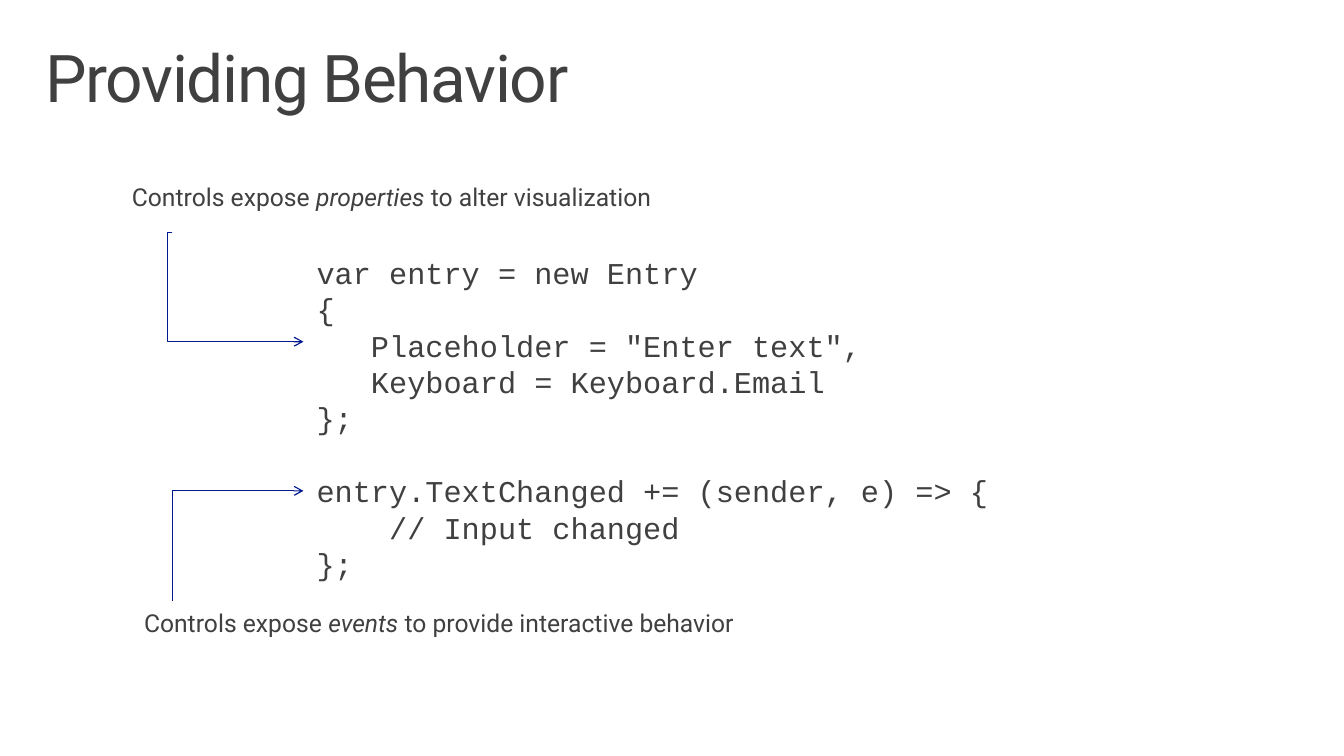
from lxml.etree import SubElement
from pptx import Presentation
from pptx.dml.color import RGBColor
from pptx.enum.shapes import MSO_CONNECTOR as Connector
from pptx.enum.text import MSO_ANCHOR as Anchor, PP_ALIGN as Align
from pptx.oxml.ns import qn
from pptx.util import Inches, Pt

WIDTH, HEIGHT = 13.33, 7.5
TEXT_COLOR, ARROW_COLOR = "404040", "00188F"
BODY_FONT, CODE_FONT = "Roboto", "Courier New"
ARROW_LEFT, ARROW_RIGHT = 1.71, 3.01
CODE = """var entry = new Entry
{
   Placeholder = "Enter text",
   Keyboard = Keyboard.Email
};

entry.TextChanged += (sender, e) => {
    // Input changed
};"""


def color(value):
    """Turn a hex string into a colour."""
    return RGBColor.from_string(value)


def format_run(run, size, name, italic=False):
    """Set the font of one run."""
    run.font.size = Pt(size)
    run.font.name = name
    run.font.italic = italic
    run.font.color.rgb = color(TEXT_COLOR)


def set_frame(frame, horizontal, vertical, anchor=Anchor.TOP):
    """Set wrapping, insets and anchor of a text frame."""
    frame.word_wrap = True
    frame.margin_left = frame.margin_right = Inches(horizontal)
    frame.margin_top = frame.margin_bottom = Inches(vertical)
    frame.vertical_anchor = anchor


def add_title(slide, box, text):
    """Place and format the slide title."""
    title = slide.shapes.title
    title.left, title.top, title.width, title.height = map(Inches, box)
    set_frame(title.text_frame, 0.16, 0.1, Anchor.MIDDLE)
    paragraph = title.text_frame.paragraphs[0]
    paragraph.text = text
    paragraph.alignment = Align.LEFT
    paragraph.line_spacing = 0.9
    format_run(paragraph.runs[0], 47, BODY_FONT)
    paragraph.runs[0].font._element.set("spc", "-100")


def add_code(slide, box, text):
    """Place the code sample as one paragraph with line breaks."""
    frame = slide.shapes.add_textbox(*map(Inches, box)).text_frame
    set_frame(frame, 0.13, 0.07)
    paragraph = frame.paragraphs[0]
    paragraph.text = text
    paragraph.line_spacing = Pt(26)
    for run in paragraph.runs:
        format_run(run, 21.6, CODE_FONT)


def add_label(slide, box, before, term, after):
    """Place a sentence with one term in italics."""
    frame = slide.shapes.add_textbox(*map(Inches, box)).text_frame
    set_frame(frame, 0.1, 0.05)
    for text in (before, term, after):
        run = frame.paragraphs[0].add_run()
        run.text = text
        format_run(run, 17.6, BODY_FONT, italic=text == term)


def add_arrow(slide, start, end, bend):
    """Draw an elbow arrow that turns at a share of its width."""
    arrow = slide.shapes.add_connector(
        Connector.ELBOW, *map(Inches, start + end))
    arrow.line.color.rgb = color(ARROW_COLOR)
    arrow.line.width = Pt(0.85)
    properties = arrow._element.spPr
    SubElement(properties, qn("a:effectLst"))
    SubElement(arrow.line._get_or_add_ln(), qn("a:tailEnd"), type="arrow")
    adjustments = properties.find(qn("a:prstGeom")).get_or_add_avLst()
    SubElement(adjustments, qn("a:gd"), name="adj1",
               fmla=f"val {round(bend * 100000)}")


def add_callout(slide, box, term, after, start_y, end_y, bend):
    """Place a label and the arrow leading from it to the code."""
    add_label(slide, box, "Controls expose ", term, after)
    add_arrow(slide, (ARROW_LEFT, start_y), (ARROW_RIGHT, end_y), bend)


def main():
    """Build and save the slide."""
    presentation = Presentation()
    presentation.slide_width = Inches(WIDTH)
    presentation.slide_height = Inches(HEIGHT)
    slide = presentation.slides.add_slide(presentation.slide_layouts[5])
    add_title(slide, (0.29, 0.32, 12.75, 0.98), "Providing Behavior")
    add_code(slide, (ARROW_RIGHT, 2.45, 8.84, 3.4), CODE)
    add_callout(slide, (1.21, 1.76, 8.84, 0.4), "properties",
                " to alter visualization", 2.31, 3.39, -0.04)
    add_callout(slide, (1.33, 5.98, 8.72, 0.4), "events",
                " to provide interactive behavior", 5.96, 4.87, 0)
    presentation.save("out.pptx")


if __name__ == "__main__":
    main()
